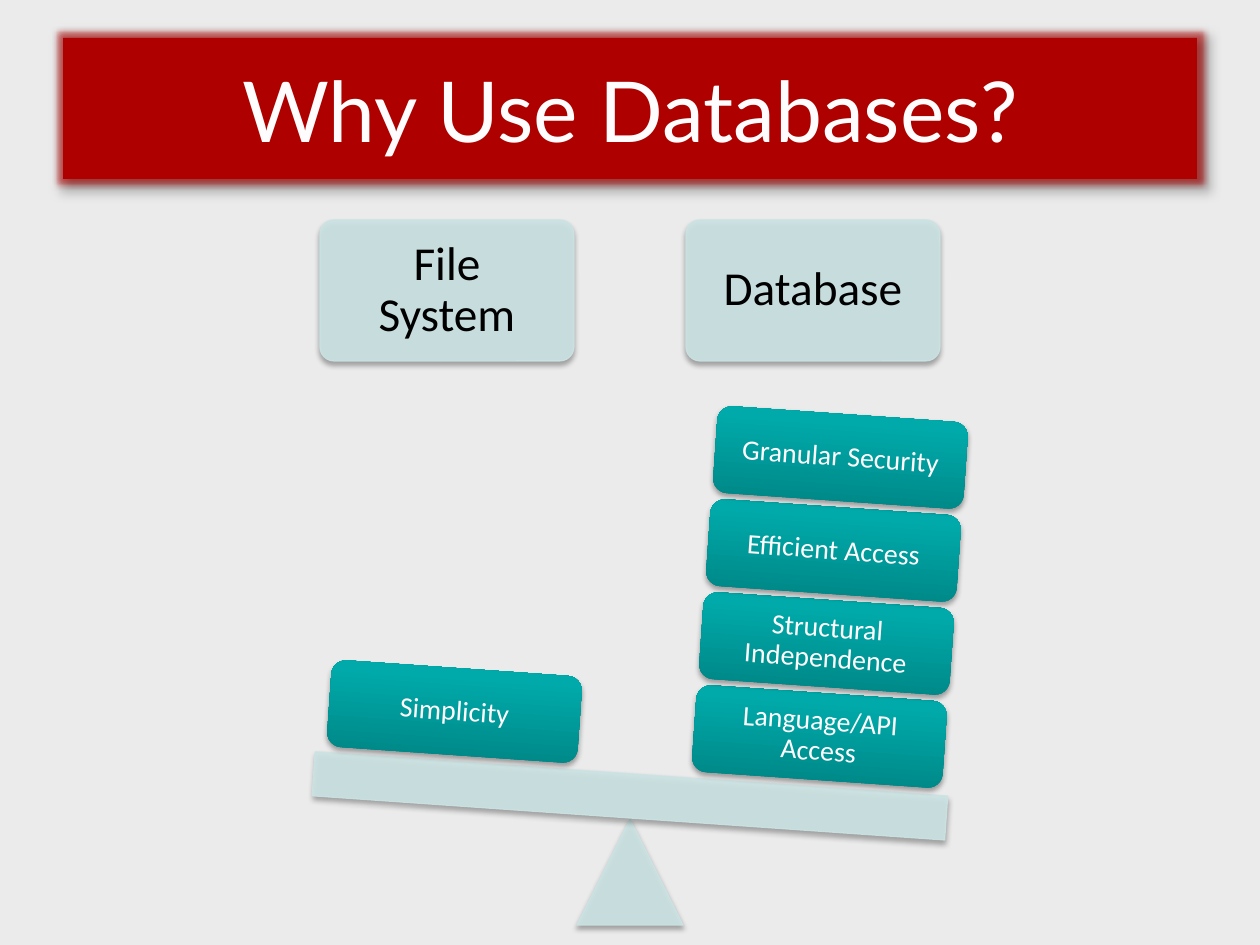
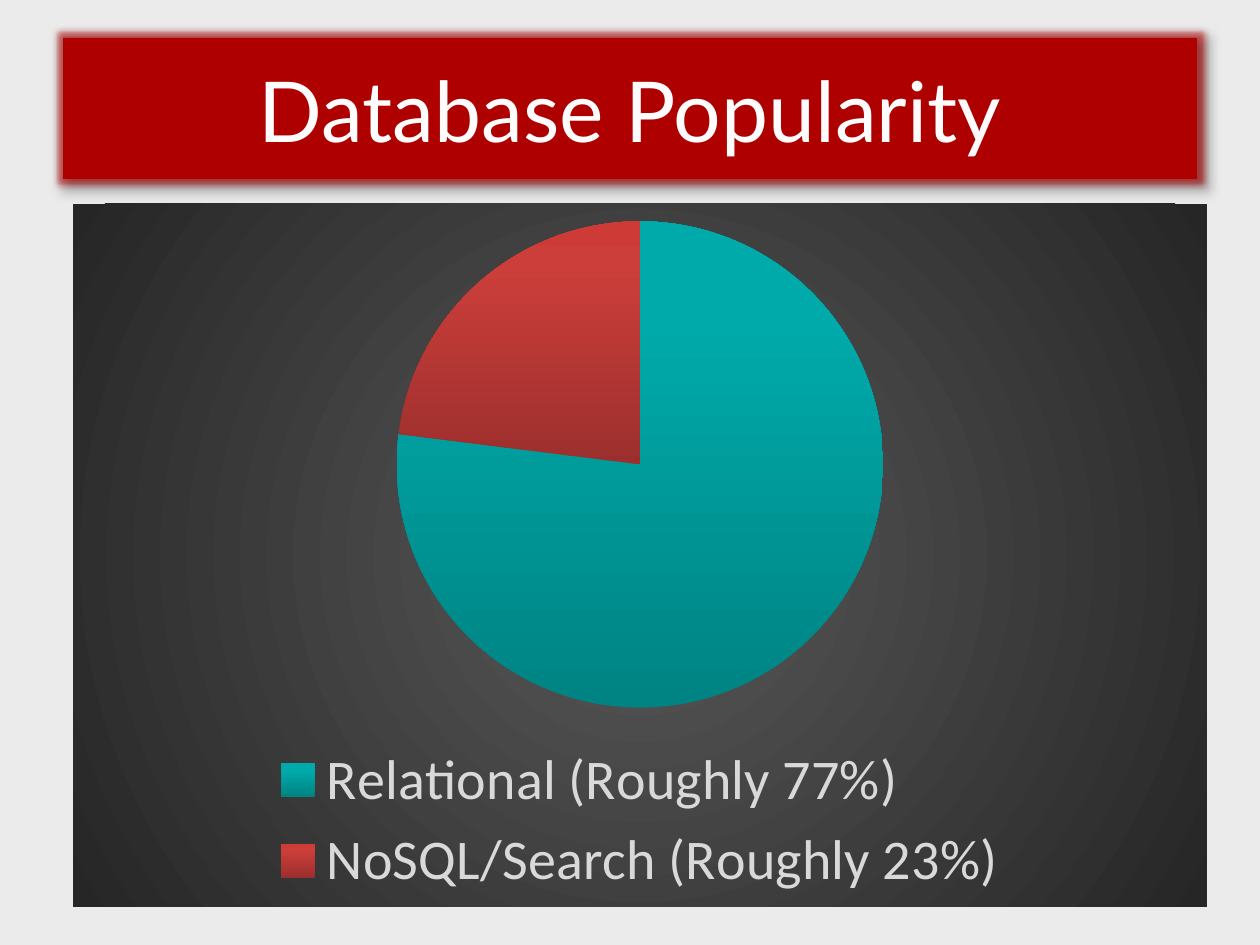
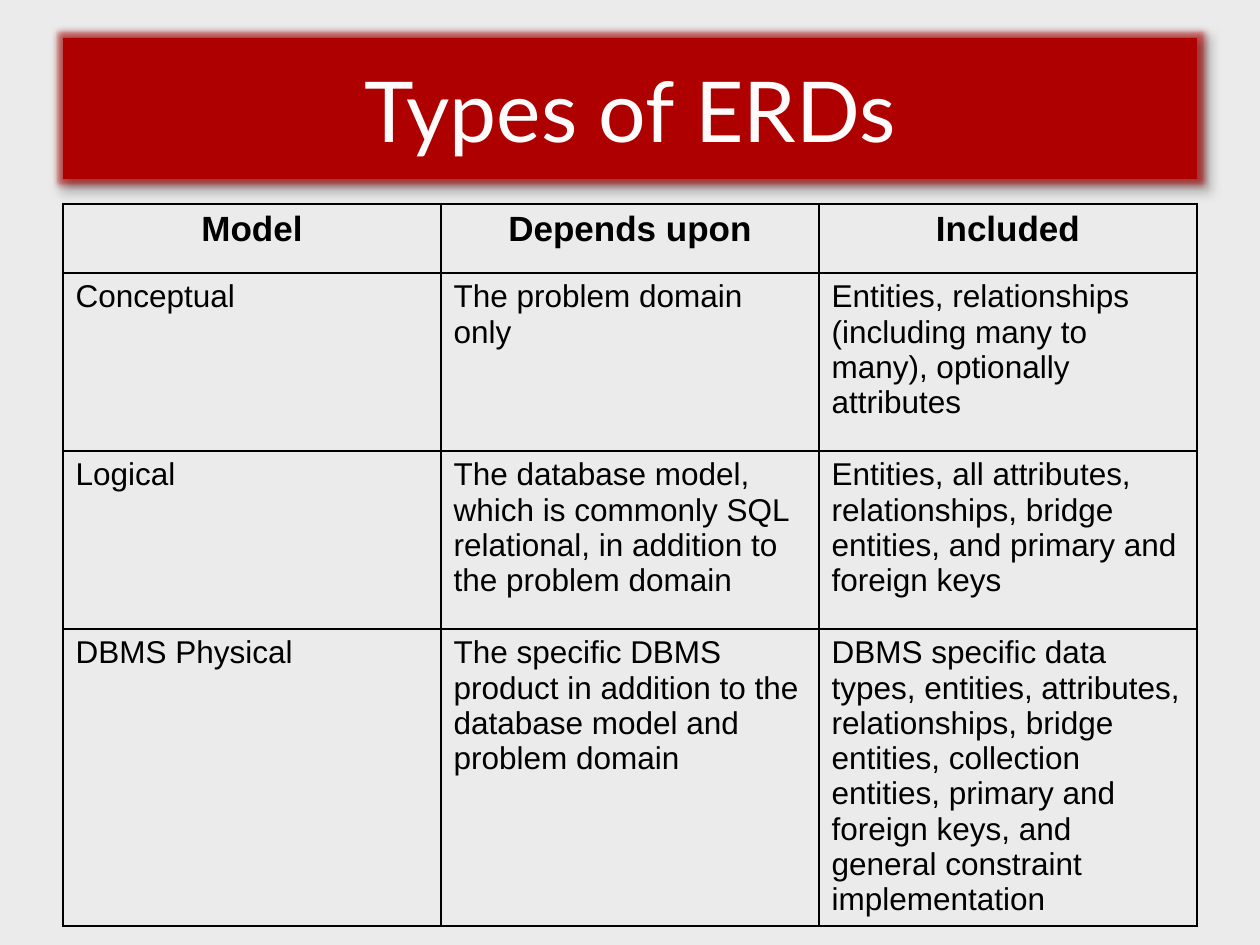
from lxml import etree
from pptx import Presentation
from pptx.chart.data import CategoryChartData
from pptx.dml.color import RGBColor
from pptx.enum.chart import XL_CHART_TYPE, XL_LEGEND_POSITION
from pptx.enum.shapes import MSO_SHAPE
from pptx.enum.text import MSO_ANCHOR, MSO_AUTO_SIZE, PP_ALIGN
from pptx.oxml import parse_xml
from pptx.oxml.ns import nsdecls, qn
from pptx.util import Pt

PIE, BOTTOM = XL_CHART_TYPE.PIE, XL_LEGEND_POSITION.BOTTOM
RECT, ROUND = MSO_SHAPE.RECTANGLE, MSO_SHAPE.ROUNDED_RECTANGLE
TRIANGLE = MSO_SHAPE.ISOSCELES_TRIANGLE
MIDDLE, TOP = MSO_ANCHOR.MIDDLE, MSO_ANCHOR.TOP
LEFT, CENTER = PP_ALIGN.LEFT, PP_ALIGN.CENTER

# Shared look
COLORS = {
    "page": "EBEBEB", "band": "AF0000", "title": "FEFCFC", "white": "FFFFFF",
    "black": "000000", "pale": "CCE3E3", "legend": "D9D9D9",
}
TEAL = [(0, "008383"), (80, "00AAAA"), (100, "00AAAA")]
RED = [(0, "9C2F2D"), (80, "CB3E3A"), (100, "CE3B37")]
GREY = [(0, "595959"), (100, "262626")]
UPWARD = '<a:lin ang="16200000" scaled="0"/>'
RADIAL = ('<a:path path="circle"><a:fillToRect l="50000" t="50000" '
          'r="50000" b="50000"/></a:path>')
TITLE_BAND = (63, 38, 1134, 141)

# Slide 1: balance scale
SCALE_TITLE = "Why Use Databases?"
PANS = [
    {"name": "File System", "card_left": 320, "tile": (329, 668),
     "weights": ["Simplicity"]},
    {"name": "Database", "card_left": 686, "tile": (694, 693),
     "weights": ["Language/API Access", "Structural Independence",
                 "Efficient Access", "Granular Security"]},
]
CARD_TOP, CARD_SIZE = 220, (254, 141)
TILE_SIZE, TILE_STEP = (251, 87), (7, -93)
BEAM, PIVOT = (313, 774, 634, 44), (577, 819, 106, 106)
TILT = 4

# Slide 2: pie chart
CHART_TITLE = "Database Popularity"
CHART_AREA = (73, 204, 1134, 703)
SHARES = [("Relational (Roughly 77%)", 77, TEAL),
          ("NoSQL/Search (Roughly 23%)", 23, RED)]

# Slide 3: table
TABLE_TITLE = "Types of ERDs"
TABLE_LEFT, TABLE_TOP, COLUMN_WIDTH = 63, 204, 378
ROW_HEIGHTS = [69, 178, 178, 297]
TABLE_ROWS = [
    ("Model", "Depends upon", "Included"),
    ("Conceptual", "The problem domain only",
     "Entities, relationships (including many to many), optionally attributes"),
    ("Logical",
     "The database model, which is commonly SQL relational, in addition to "
     "the problem domain",
     "Entities, all attributes, relationships, bridge entities, and primary "
     "and foreign keys"),
    ("DBMS Physical",
     "The specific DBMS product in addition to the database model and "
     "problem domain",
     "DBMS specific data types, entities, attributes, relationships, bridge "
     "entities, collection entities, primary and foreign keys, and general "
     "constraint implementation"),
]


def px(length):
    return round(length * 914400 / 126)


def rgb(name):
    return RGBColor.from_string(COLORS[name])


def write(frame, text, font="Calibri", size=16, color="black", bold=False,
          align=CENTER, spacing=None):
    para = frame.paragraphs[0]
    para.alignment = align
    para.line_spacing = spacing
    span = para.add_run()
    span.text = text
    span.font.name = font
    span.font.size = Pt(size)
    span.font.bold = bold
    span.font.color.rgb = rgb(color)
    return span


def set_gradient(properties, stops, shade=UPWARD):
    """Swap the solid fill of a properties element for a gradient."""
    marks = "".join(f'<a:gs pos="{place * 1000}"><a:srgbClr val="{color}"/></a:gs>'
                    for place, color in stops)
    gradient = parse_xml(f'<a:gradFill {nsdecls("a")} rotWithShape="1">'
                         f'<a:gsLst>{marks}</a:gsLst>{shade}</a:gradFill>')
    properties.replace(properties.find(qn("a:solidFill")), gradient)


def add_shadow(shape, blur, distance, angle, alpha, glow=""):
    shape.shadow.inherit = False
    effects = shape.element.spPr.find(qn("a:effectLst"))
    if glow:
        effects.append(parse_xml(
            f'<a:glow {nsdecls("a")} rad="{Pt(8)}"><a:srgbClr val="{glow}">'
            '<a:alpha val="60000"/></a:srgbClr></a:glow>'))
    effects.append(parse_xml(
        f'<a:outerShdw {nsdecls("a")} blurRad="{Pt(blur)}" dist="{Pt(distance)}" '
        f'dir="{angle * 60000}" rotWithShape="0"><a:srgbClr val="000000">'
        f'<a:alpha val="{alpha * 1000}"/></a:srgbClr></a:outerShdw>'))


def add_page(deck, title):
    page = deck.slides.add_slide(deck.slide_layouts[5])
    band = page.shapes.title
    band.left, band.top, band.width, band.height = map(px, TITLE_BAND)
    band.fill.solid()
    band.fill.fore_color.rgb = rgb("band")
    add_shadow(band, 4, 3, 45, 40, glow=COLORS["band"])
    frame = band.text_frame
    frame.auto_size = MSO_AUTO_SIZE.NONE
    frame.word_wrap = False
    frame.vertical_anchor = MIDDLE
    span = write(frame, title, font="Lato", size=48, color="title")
    span.font.fill.solid()
    span.font.color.rgb = rgb("title")
    outline = parse_xml(
        f'<a:ln {nsdecls("a")} w="{Pt(0.75)}"><a:solidFill>'
        f'<a:srgbClr val="{COLORS["white"]}"/></a:solidFill></a:ln>')
    span.font.fill  # fill precedes the outline lookup below
    band.element.xpath(".//a:rPr")[0].insert(0, outline)
    return page


def add_block(page, kind, area, gradient=None, tilt=0, text="", inset=0, **style):
    box = page.shapes.add_shape(kind, *map(px, area))
    box.rotation = tilt
    box.fill.solid()
    box.fill.fore_color.rgb = rgb("pale")
    if gradient:
        set_gradient(box.element.spPr, gradient)
        box.line.fill.background()
    else:
        box.line.color.rgb = rgb("pale")
        box.line.width = Pt(0.75)
        for color in box.element.spPr.iter(qn("a:srgbClr")):
            etree.SubElement(color, qn("a:alpha"), val="90000")
    add_shadow(box, 3.1, 1.8, 90, 35)
    if text:
        frame = box.text_frame
        frame.word_wrap = True
        frame.vertical_anchor = MIDDLE
        frame.margin_left = frame.margin_right = px(inset)
        frame.margin_top = frame.margin_bottom = px(inset)
        write(frame, text, spacing=0.9, **style)
    return box


def build_scale(deck):
    page = add_page(deck, SCALE_TITLE)
    for pan in PANS:
        card = add_block(page, ROUND, (pan["card_left"], CARD_TOP, *CARD_SIZE),
                         text=pan["name"], inset=18, size=27)
        card.adjustments[0] = 0.1
    add_block(page, TRIANGLE, PIVOT)
    add_block(page, RECT, BEAM, tilt=TILT)
    # Weights pile up along the tilted axis
    for pan in PANS:
        left, top = pan["tile"]
        for level, weight in enumerate(pan["weights"]):
            place = (left + level * TILE_STEP[0], top + level * TILE_STEP[1])
            add_block(page, ROUND, (*place, *TILE_SIZE), gradient=TEAL,
                      tilt=TILT, text=weight, inset=13, color="white")


def build_chart(deck):
    page = add_page(deck, CHART_TITLE)
    data = CategoryChartData()
    data.categories = [label for label, _, _ in SHARES]
    data.add_series("Series 1", [share for _, share, _ in SHARES])
    chart = page.shapes.add_chart(PIE, *map(px, CHART_AREA), data).chart
    chart.has_title = False
    chart.font.name = "Calibri"
    chart.font.size = Pt(10)
    chart.font.color.rgb = rgb("black")
    plot = chart.plots[0]
    plot.vary_by_categories = True

    # Slices
    for index, (_, _, stops) in enumerate(SHARES):
        plot.series[0].points[index].format.fill.solid()
        set_gradient(chart.element.xpath(".//c:dPt/c:spPr")[index], stops)

    # Legend
    chart.has_legend = True
    chart.legend.position = BOTTOM
    chart.legend.include_in_layout = False
    chart.legend.font.name = "Calibri"
    chart.legend.font.size = Pt(32)
    chart.legend.font.color.rgb = rgb("legend")

    # Dark backdrop
    backdrop = parse_xml(f'<c:spPr {nsdecls("c", "a")}><a:solidFill/>'
                         '<a:ln><a:noFill/></a:ln></c:spPr>')
    set_gradient(backdrop, GREY, RADIAL)
    chart.element.xpath("c:chart")[0].addnext(backdrop)


def add_borders(cell):
    properties = cell._tc.get_or_add_tcPr()
    for index, side in enumerate(("lnL", "lnR", "lnT", "lnB")):
        properties.insert(index, parse_xml(
            f'<a:{side} {nsdecls("a")} w="{Pt(1)}"><a:solidFill>'
            f'<a:srgbClr val="{COLORS["black"]}"/></a:solidFill></a:{side}>'))


def build_table(deck):
    page = add_page(deck, TABLE_TITLE)
    count = len(TABLE_ROWS[0])
    area = (TABLE_LEFT, TABLE_TOP, COLUMN_WIDTH * count, sum(ROW_HEIGHTS))
    table = page.shapes.add_table(len(TABLE_ROWS), count, *map(px, area)).table
    table.first_row = table.horz_banding = False
    for column in table.columns:
        column.width = px(COLUMN_WIDTH)
    for index, (height, texts) in enumerate(zip(ROW_HEIGHTS, TABLE_ROWS)):
        table.rows[index].height = px(height)
        header = index == 0
        for cell, text in zip(table.rows[index].cells, texts):
            cell.fill.background()
            cell.vertical_anchor = TOP
            add_borders(cell)
            write(cell.text_frame, text, font="Arial", bold=header,
                  size=20 if header else 18, align=CENTER if header else LEFT)


def main():
    deck = Presentation()
    deck.slide_width, deck.slide_height = px(1260), px(945)
    background = deck.slide_master.background.fill
    background.solid()
    background.fore_color.rgb = rgb("page")
    build_scale(deck)
    build_chart(deck)
    build_table(deck)
    deck.save("out.pptx")


if __name__ == "__main__":
    main()
